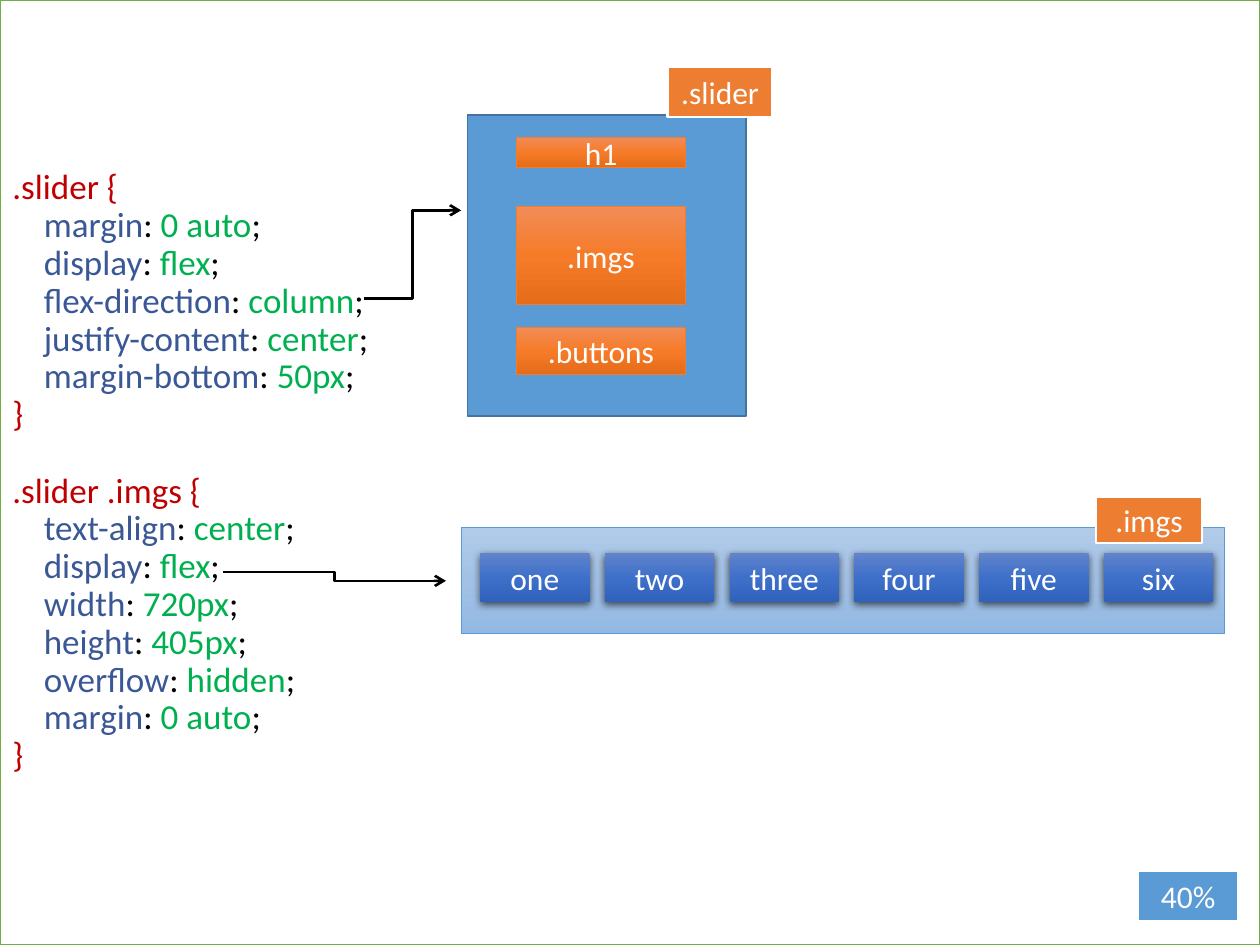
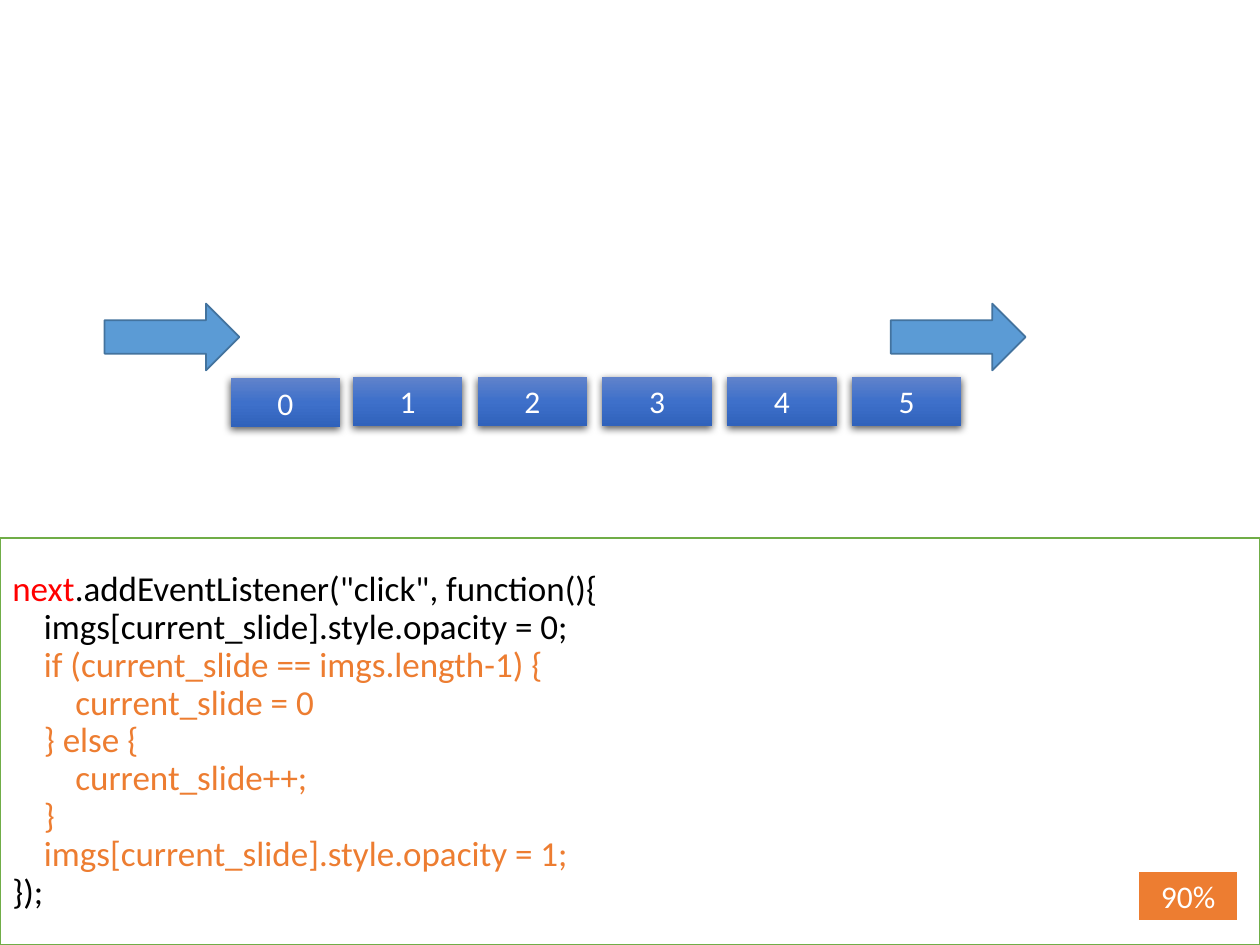
from lxml import etree
from pptx import Presentation
from pptx.dml.color import RGBColor
from pptx.enum.shapes import MSO_CONNECTOR, MSO_SHAPE
from pptx.enum.text import MSO_ANCHOR, PP_ALIGN
from pptx.oxml.ns import qn
from pptx.util import Inches, Pt

RECTANGLE = MSO_SHAPE.RECTANGLE
RIGHT_ARROW = MSO_SHAPE.RIGHT_ARROW
ELBOW = MSO_CONNECTOR.ELBOW
MIDDLE = MSO_ANCHOR.MIDDLE
LEFT, CENTER = PP_ALIGN.LEFT, PP_ALIGN.CENTER

FONT = "Calibri"
WHITE, BLACK = "FFFFFF", "000000"
BLUE, DARK_BLUE, ORANGE, GREEN = "5B9BD5", "43739E", "ED7D31", "70AD47"
SELECTOR, PROPERTY, VALUE, KEYWORD = "C00000", "3A5896", "00B050", "FF0000"
CHIP_BLUES = ("6183CB", "3E70CA", "3062BB")
PALE_BLUES = ("B1CBE9", "A3C1E5", "93B9E4")
ORANGES = ("F18C57", "F67B28", "E56C19")

LABEL_SIZE, CODE_SIZE = 18, 20
CODE_INDENT = 0.25
BLANK_LINE = 22
CHIP_WIDTH, CHIP_HEIGHT, CHIP_PITCH = 0.87, 0.39, 0.99


def color(hex_text):
    return RGBColor.from_string(hex_text)


def add_xml(parent, tag, **attributes):
    return etree.SubElement(parent, qn(tag), attributes)


def add_xml_color(parent, hex_text, opacity=100):
    node = add_xml(parent, "a:srgbClr", val=hex_text)
    if opacity < 100:
        add_xml(node, "a:alpha", val=str(opacity * 1000))


class Painter:
    """Draws elements in the shared style on the current slide."""

    def __init__(self):
        self.deck = Presentation()
        self.deck.slide_width = Inches(10)
        self.deck.slide_height = Inches(7.5)
        self.page = None

    def new_page(self):
        self.page = self.deck.slides.add_slide(self.deck.slide_layouts[6])

    def box(self, left, top, width, height, fill, line=None, line_width=1,
            label=None, kind=RECTANGLE):
        """A shape; fill is one colour, or a tuple for a downward gradient."""
        box = self.page.shapes.add_shape(
            kind, Inches(left), Inches(top), Inches(width), Inches(height))
        box.shadow.inherit = False
        if isinstance(fill, tuple):
            self.gradient(box, fill)
        else:
            box.fill.solid()
            box.fill.fore_color.rgb = color(fill)
        if line:
            box.line.color.rgb = color(line)
            box.line.width = Pt(line_width)
        else:
            box.line.fill.background()
        box.text_frame.vertical_anchor = MIDDLE
        if label:
            para = box.text_frame.paragraphs[0]
            para.alignment = CENTER
            self.span(para, label, WHITE, LABEL_SIZE)
        return box

    def gradient(self, box, colors):
        box.fill.gradient()
        box.fill.gradient_angle = 270
        stops = box._element.spPr.find(".//" + qn("a:gsLst"))
        for stop in list(stops):
            stops.remove(stop)
        for index, hex_text in enumerate(colors):
            position = 100000 * index // (len(colors) - 1)
            add_xml_color(add_xml(stops, "a:gs", pos=str(position)), hex_text)

    def span(self, para, text, hex_text, size):
        span = para.add_run()
        span.text = text
        span.font.name = FONT
        span.font.size = Pt(size)
        span.font.color.rgb = color(hex_text)

    def code_panel(self, top, height, opacity, lines):
        """A bordered panel of code; a line is (depth, spans, space before)."""
        panel = self.box(0, top, 10, height, WHITE, GREEN)
        white = panel._element.spPr.find(qn("a:solidFill"))
        white.clear()
        add_xml_color(white, WHITE, opacity)
        frame = panel.text_frame
        frame.word_wrap = True
        for index, (depth, spans, gap) in enumerate(lines):
            para = frame.add_paragraph() if index else frame.paragraphs[0]
            para.alignment = LEFT
            para.line_spacing = 0.9
            para.space_before = Pt(gap)
            indent = Inches(CODE_INDENT * depth)
            para._p.get_or_add_pPr().set("marL", str(indent))
            for text, hex_text in spans:
                self.span(para, text, hex_text, CODE_SIZE)

    def chip(self, left, top, label):
        chip = self.box(left, top, CHIP_WIDTH, CHIP_HEIGHT, CHIP_BLUES, label=label)
        effects = chip._element.spPr.find(qn("a:effectLst"))
        shadow = add_xml(effects, "a:outerShdw", blurRad=str(Pt(4.5)),
                         dist=str(Pt(1.5)), dir="5400000", algn="ctr", rotWithShape="0")
        add_xml_color(shadow, BLACK, 63)

    def chip_row(self, left, top, labels):
        for index, label in enumerate(labels):
            self.chip(left + index * CHIP_PITCH, top, label)

    def tag(self, left, top, width, height, label, fill=ORANGE):
        self.box(left, top, width, height, fill, WHITE, 1.5, label)

    def progress(self, label, fill):
        self.tag(9.03, 6.91, 0.8, 0.4, label, fill)

    def block_arrow(self, left, top):
        self.box(left, top, 1.07, 0.53, BLUE, DARK_BLUE, kind=RIGHT_ARROW)

    def elbow_arrow(self, start, end):
        arrow = self.page.shapes.add_connector(
            ELBOW, *(Inches(length) for length in start + end))
        arrow.line.color.rgb = color(BLACK)
        arrow.line.width = Pt(1.5)
        add_xml(arrow.line._get_or_add_ln(), "a:tailEnd", type="arrow")
        add_xml(arrow._element.spPr, "a:effectLst")


def css_rule(selector, declarations, gap=0):
    """Code lines of one CSS rule, coloured by role."""
    lines = [(0, [(selector + " {", SELECTOR)], gap)]
    for name, value in declarations:
        spans = [(name, PROPERTY), (": ", BLACK), (value, VALUE), (";", BLACK)]
        lines.append((1, spans, 0))
    return lines + [(0, [("}", SELECTOR)], 0)]


def draw_flex_layout(painter):
    painter.new_page()
    slider_rule = css_rule(".slider", [
        ("margin", "0 auto"),
        ("display", "flex"),
        ("flex-direction", "column"),
        ("justify-content", "center"),
        ("margin-bottom", "50px"),
    ])
    images_rule = css_rule(".slider .imgs", [
        ("text-align", "center"),
        ("display", "flex"),
        ("width", "720px"),
        ("height", "405px"),
        ("overflow", "hidden"),
        ("margin", "0 auto"),
    ], BLANK_LINE)
    painter.code_panel(0, 7.5, 84, slider_rule + images_rule)

    painter.box(3.66, 4.19, 6.06, 0.84, PALE_BLUES, BLUE, 0.5)
    painter.progress("40%", BLUE)
    painter.chip_row(3.81, 4.39, ["one", "two", "three", "four", "five", "six"])

    painter.box(3.71, 0.91, 2.21, 2.39, BLUE, DARK_BLUE)
    painter.tag(5.3, 0.53, 0.83, 0.4, ".slider")
    for top, height, label in [(1.09, 0.24, "h1"), (1.64, 0.78, ".imgs"),
                               (2.6, 0.37, ".buttons")]:
        painter.box(4.1, top, 1.34, height, ORANGES, ORANGE, 0.5, label)
    painter.tag(8.7, 3.94, 0.84, 0.37, ".imgs")

    painter.elbow_arrow((1.77, 4.54), (3.54, 4.61))
    painter.elbow_arrow((2.89, 2.37), (3.66, 1.67))


def draw_next_button(painter):
    painter.new_page()
    code = [
        (0, [("next", KEYWORD), ('.addEventListener("click", function(){', BLACK)]),
        (1, [("imgs[current_slide].style.opacity = 0;", BLACK)]),
        (1, [("if (current_slide == imgs.length-1) {", ORANGE)]),
        (2, [("current_slide = 0", ORANGE)]),
        (1, [("} else {", ORANGE)]),
        (2, [("current_slide++;", ORANGE)]),
        (1, [("}", ORANGE)]),
        (1, [("imgs[current_slide].style.opacity = 1;", ORANGE)]),
        (0, [("});", BLACK)]),
    ]
    painter.code_panel(4.27, 3.23, 34, [(depth, spans, 0) for depth, spans in code])
    painter.progress("90%", ORANGE)
    painter.chip_row(2.8, 2.99, ["1", "2", "3", "4", "5"])
    painter.chip(1.83, 3, "0")
    for left in (0.83, 7.07):
        painter.block_arrow(left, 2.41)


def main():
    painter = Painter()
    draw_flex_layout(painter)
    draw_next_button(painter)
    painter.deck.save("out.pptx")


if __name__ == "__main__":
    main()
